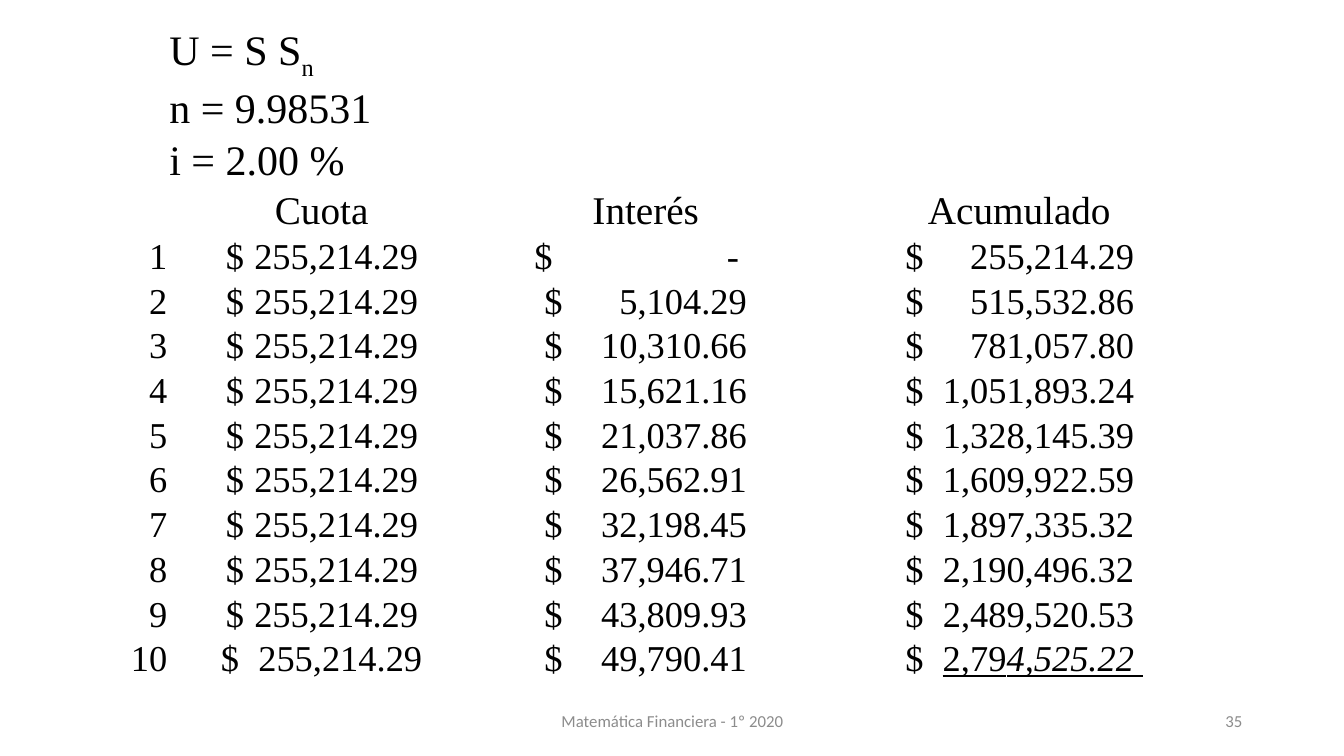
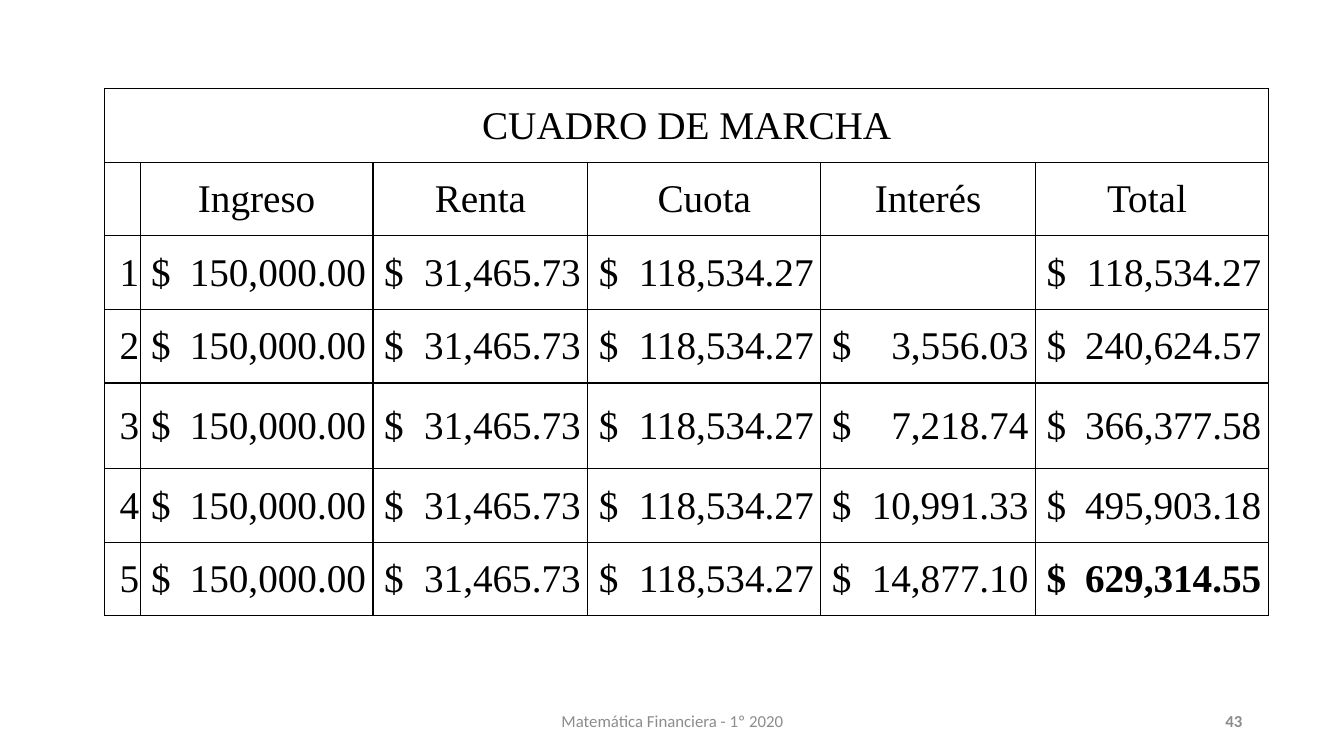
from lxml.etree import SubElement, Element
from pptx import Presentation
from pptx.dml.color import RGBColor
from pptx.enum.text import MSO_ANCHOR as Anchor, PP_ALIGN as Align
from pptx.oxml.ns import qn
from pptx.util import Inches, Pt

COLORS = {"text": "000000", "border": "000000", "footer": "8C8C8C"}
BODY_FONT, FOOTER_FONT = "Times New Roman", "Calibri"
FOOTER = "Matemática Financiera - 1º 2020"


class Report:
    """Holds the deck, the shared style and the current slide."""

    def __init__(self):
        self.deck = Presentation()
        self.deck.slide_width = Inches(13.33)
        self.deck.slide_height = Inches(7.5)
        self.page = None

    def new_page(self, number, bold_number=False):
        self.page = self.deck.slides.add_slide(self.deck.slide_layouts[6])
        self.footer(4.42, 4.5, FOOTER, Align.CENTER)
        self.footer(9.42, 3, str(number), Align.RIGHT, bold=bold_number)

    def span(self, para, text, size, font=BODY_FONT, color="text",
             bold=False, italic=False, underline=False, baseline=0):
        span = para.add_run()
        span.text = text
        span.font.size = Pt(size)
        span.font.name = font
        span.font.color.rgb = RGBColor.from_string(COLORS[color])
        span.font.bold = bold
        span.font.italic = italic
        span.font.underline = underline
        if baseline:
            span._r.get_or_add_rPr().set("baseline", str(baseline * 1000))

    def footer(self, left, width, text, align, bold=False):
        box = self.page.shapes.add_textbox(
            Inches(left), Inches(6.95), Inches(width), Inches(0.4))
        frame = box.text_frame
        frame.word_wrap = True
        frame.vertical_anchor = Anchor.MIDDLE
        para = frame.paragraphs[0]
        para.alignment = align
        self.span(para, text, 12, FOOTER_FONT, "footer", bold=bold)

    def table(self, left, top, widths, heights, anchor, bordered=False):
        frame = self.page.shapes.add_table(
            len(heights), len(widths), Inches(left), Inches(top),
            Inches(sum(widths)), Inches(sum(heights)))
        table = frame.table
        table.first_row = table.horz_banding = False
        for column, width in zip(table.columns, widths):
            column.width = Inches(width)
        for row, height in zip(table.rows, heights):
            row.height = Inches(height)
            for cell in row.cells:
                cell.margin_left = cell.margin_right = Inches(0.01)
                cell.margin_top, cell.margin_bottom = Inches(0.01), 0
                cell.vertical_anchor = anchor
                cell.fill.background()
                if bordered:
                    self.border(cell)
        return table

    def border(self, cell):
        props = cell._tc.get_or_add_tcPr()
        for index, side in enumerate(("lnL", "lnR", "lnT", "lnB")):
            line = Element(qn(f"a:{side}"), w=str(Pt(1)))
            fill = SubElement(line, qn("a:solidFill"))
            SubElement(fill, qn("a:srgbClr"), val=COLORS["border"])
            props.insert(index, line)

    def cell_text(self, cell, size, *spans, align=Align.LEFT):
        """Fill a cell; each span is a (text, style) pair or plain text."""
        para = cell.text_frame.paragraphs[0]
        para.alignment = align
        for item in spans:
            text, style = (item, {}) if isinstance(item, str) else item
            self.span(para, text, size, **style)
        return para

    def money(self, cell, size, start, end, *amount, bold=False):
        """Put the $ at start and the amount flush right at end."""
        cell.margin_left = Inches(start)
        para = self.cell_text(cell, size, ("$\t", {"bold": bold}), *amount)
        tabs = SubElement(para._p.get_or_add_pPr(), qn("a:tabLst"))
        SubElement(tabs, qn("a:tab"), pos=str(Inches(end - start)), algn="r")


def savings_fund(report):
    report.new_page(35)
    interests = ["-", "5,104.29", "10,310.66", "15,621.16", "21,037.86",
                 "26,562.91", "32,198.45", "37,946.71", "43,809.93", "49,790.41"]
    totals = ["255,214.29", "515,532.86", "781,057.80", "1,051,893.24",
              "1,328,145.39", "1,609,922.59", "1,897,335.32", "2,190,496.32",
              "2,489,520.53"]
    table = report.table(1.02, 0.23, [0.65, 3.04, 3.39, 4.02],
                         [0.57, 0.51, 0.51, 0.48] + [0.44] * 10, Anchor.BOTTOM)
    formulas = [["U = S S", ("n", {"baseline": -25})],
                ["n = 9.98531"], ["i = 2.00 %"]]
    for row, spans in enumerate(formulas):
        report.cell_text(table.cell(row, 1), 30, *spans)
    for column, title in enumerate(["Cuota", "Interés", "Acumulado"], 1):
        report.cell_text(table.cell(3, column), 28, title, align=Align.CENTER)

    last = len(interests)
    for period, interest in enumerate(interests, 1):
        number, payment, earned, total = table.rows[period + 3].cells
        report.cell_text(number, 26, str(period), align=Align.RIGHT)
        ends = (0.52, 2.52) if period == last else (0.57, 2.48)
        report.money(payment, 26, *ends, "255,214.29")
        ends = (0.59, 2.62) if period == 1 else (0.69, 2.7)
        report.money(earned, 26, *ends, interest)
        if period < last:
            report.money(total, 26, 0.88, 3.15, totals[period - 1])
        else:
            report.money(total, 26, 0.88, 3.24,
                         ("2,79", {"underline": True}),
                         ("4,525.22", {"underline": True, "italic": True}),
                         (" ", {"underline": True}))


def progress_table(report):
    report.new_page(43, bold_number=True)
    interests = ["", "3,556.03", "7,218.74", "10,991.33", "14,877.10"]
    totals = ["118,534.27", "240,624.57", "366,377.58", "495,903.18", "629,314.55"]
    widths = [0.35, 2.31, 2.13, 2.31, 2.13, 2.31]
    heights = [0.73] * 4 + [0.85] + [0.73] * 2
    table = report.table(1.04, 0.88, widths, heights, Anchor.MIDDLE, bordered=True)
    table.cell(0, 0).merge(table.cell(0, len(widths) - 1))
    report.cell_text(table.cell(0, 0), 28, "CUADRO DE MARCHA", align=Align.CENTER)
    titles = ["Ingreso", "Renta", "Cuota", "Interés", "Total "]
    for column, title in enumerate(titles, 1):
        report.cell_text(table.cell(1, column), 28, title, align=Align.CENTER)

    for period, (interest, total) in enumerate(zip(interests, totals), 1):
        row = period + 1
        report.cell_text(table.cell(row, 0), 28, str(period), align=Align.RIGHT)
        amounts = ["150,000.00", "31,465.73", "118,534.27", interest, total]
        for column, amount in enumerate(amounts, 1):
            bold = period == len(totals) and column == len(amounts)
            if amount:
                report.money(table.cell(row, column), 28, 0.11,
                             widths[column] - 0.07, (amount, {"bold": bold}),
                             bold=bold)


def main():
    report = Report()
    savings_fund(report)
    progress_table(report)
    report.deck.save("out.pptx")


if __name__ == "__main__":
    main()
